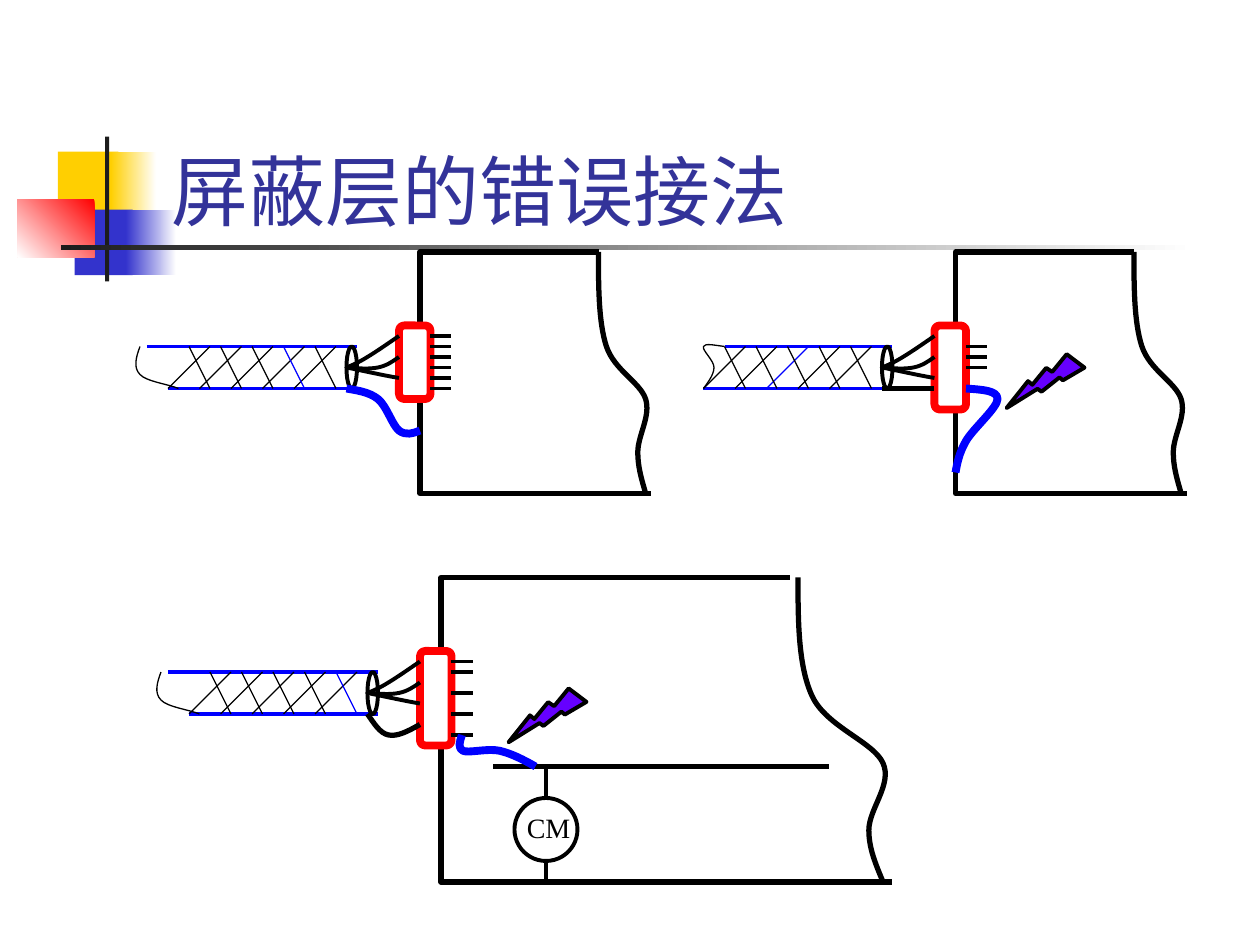
from dataclasses import dataclass

from lxml import etree
from pptx import Presentation, util as u
from pptx.dml.color import RGBColor
from pptx.enum import shapes, text
from pptx.oxml.ns import qn

Pt = u.Pt


@dataclass(frozen=True)
class Theme:
    black: str = "000000"
    white: str = "FFFFFF"
    shield: str = "0000FF"
    connector: str = "FF0000"
    bolt: str = "6600FF"
    title: str = "333399"
    yellow: str = "FFCF01"
    blue: str = "3333CC"
    red: str = "FF0000"
    rule: str = "1C1C1C"
    title_font: str = "Cabin"
    label_font: str = "Times New Roman"
    title_size: int = 44
    label_size: int = 16
    hair: float = 0.75
    wire: float = 2.25
    heavy: float = 3
    thick: float = 4.5


THEME = Theme()

# Wavy edge of a cut-away enclosure, as fractions of its width and height
BREAK_EDGE = [(0, 0), (0, .14), (0, .29), (.15, .39), (.3, .49), (.8, .54),
              (.9, .61), (1, .68), (.75, .76), (.75, .83), (.75, .89),
              (.82, .94), (.9, 1)]
# Loose cable end and inner wires, relative to the cable's cut end
CABLE_TAIL = [(-118, 0), (-120.2, 6), (-122, 12), (-118, 16),
              (-114.5, 20), (-101.5, 21.6), (-96, 24)]
INNER_WIRES = [
    [(0, 12), (3.6, 10.6), (7.2, 9), (12, 6), (17, 3), (23.5, -1.5), (30, -6)],
    [(0, 12), (6.5, 12.5), (13, 13), (18, 12), (23, 11), (26.5, 8.5), (30, 6)],
    [(0, 12), (11.5, 14.4), (23.5, 17), (30, 18)],
]


def shift(points, x, y):
    return [(x + px, y + py) for px, py in points]


class Diagram:
    def __init__(self, slide, theme):
        self.slide, self.theme = slide, theme

    def title(self, wording, x, y, width, height):
        shape = self.slide.shapes.title
        shape.left, shape.top, shape.width, shape.height = map(Pt, (x, y, width, height))
        # Bring the title in front of the decoration
        shape.element.getparent().append(shape.element)
        frame = shape.text_frame
        frame.text = wording
        frame.word_wrap = True
        frame.auto_size = text.MSO_AUTO_SIZE.NONE
        frame.vertical_anchor = text.MSO_ANCHOR.BOTTOM
        self.style(frame.paragraphs[0], self.theme.title_font,
                   self.theme.title_size, self.theme.title)

    def label(self, wording, x, y, width, height):
        frame = self.slide.shapes.add_textbox(*map(Pt, (x, y, width, height))).text_frame
        frame.text = wording
        frame.word_wrap = True
        self.style(frame.paragraphs[0], self.theme.label_font,
                   self.theme.label_size, self.theme.black)

    def style(self, paragraph, font, size, color):
        paragraph.alignment = text.PP_ALIGN.LEFT
        paragraph.font.name = font
        paragraph.font.size = Pt(size)
        paragraph.font.color.rgb = RGBColor.from_string(color)

    def outline(self, shape, color, width):
        shape.line.color.rgb = RGBColor.from_string(color)
        shape.line.width = Pt(width)

    def shape(self, kind, x, y, width, height, fill=None, line=None, weight=THEME.wire):
        shape = self.slide.shapes.add_shape(kind, *map(Pt, (x, y, width, height)))
        shape.shadow.inherit = False
        if fill:
            shape.fill.solid()
            shape.fill.fore_color.rgb = RGBColor.from_string(fill)
        else:
            shape.fill.background()
        if line:
            self.outline(shape, line, weight)
        else:
            shape.line.fill.background()
        return shape

    def fade(self, x, y, width, height, color, angle=0):
        shape = self.shape(shapes.MSO_SHAPE.RECTANGLE, x, y, width, height)
        shape.fill.gradient()
        shape.fill.gradient_angle = angle
        for stop, stop_color in zip(shape.fill.gradient_stops, (color, self.theme.white)):
            stop.color.rgb = RGBColor.from_string(stop_color)

    def line(self, x1, y1, x2, y2, color=THEME.black, weight=THEME.wire):
        line = self.slide.shapes.add_connector(
            shapes.MSO_CONNECTOR.STRAIGHT, *map(Pt, (x1, y1, x2, y2)))
        self.outline(line, color, weight)
        etree.SubElement(line.element.spPr, qn("a:effectLst"))

    def path_line(self, points, color=THEME.black, weight=THEME.wire):
        vertices = [(x * 100, y * 100) for x, y in points]
        builder = self.slide.shapes.build_freeform(*vertices[0], scale=Pt(1) / 100)
        builder.add_line_segments(vertices[1:], close=False)
        shape = builder.convert_to_shape()
        shape.shadow.inherit = False
        shape.fill.background()
        self.outline(shape, color, weight)
        return shape

    def curve(self, points, color=THEME.black, weight=THEME.wire):
        """Joined cubic curves: a start, then three points for each curve."""
        shape = self.path_line(points, color, weight)
        segments = list(shape.element.iter(qn("a:lnTo")))
        outline = segments[0].getparent()
        for k in range(0, len(segments), 3):
            cubic = etree.SubElement(outline, qn("a:cubicBezTo"))
            for segment in segments[k:k + 3]:
                cubic.append(segment[0])
                outline.remove(segment)

    def cable(self, x, y, top_start, bottom_start, blue_strand):
        """Shielded cable cut at x, with one strand of the braid in blue."""
        theme = self.theme
        self.line(x + top_start, y, x + 6, y, theme.shield)
        self.line(x + bottom_start, y + 24, x + 6, y + 24, theme.shield)
        self.shape(shapes.MSO_SHAPE.OVAL, x, y, 6, 24, line=theme.black)
        for first, run in ((-6, -24), (-18, 12)):
            for i in range(5):
                color = theme.shield if (run, i) == blue_strand else theme.black
                start = x + first - 18 * i
                self.line(start, y, start + run, y + 24, color, theme.hair)

    def enclosure(self, x, y, height, top_width, break_x, break_width):
        heavy = self.theme.heavy
        bottom, right = y + height, break_x + break_width
        self.path_line([(x + top_width, y), (x, y), (x, bottom), (right, bottom)],
                       weight=heavy)
        self.curve([(break_x + fx * break_width, y + fy * height)
                    for fx, fy in BREAK_EDGE], weight=heavy)

    def connector(self, x, y, height, pins):
        """Connector for the cable cut at x, y, with its wires and pins."""
        theme = self.theme
        self.shape(shapes.MSO_SHAPE.ROUNDED_RECTANGLE, x + 30, y - 12, 18, height,
                   theme.white, theme.connector, theme.thick)
        for wire in INNER_WIRES:
            self.curve(shift(wire, x, y))
        for pin in pins:
            self.line(x + 48, y + pin, x + 60, y + pin)

    def drain(self, points):
        self.curve(points, self.theme.shield, self.theme.thick)

    def bolt(self, x, y):
        shape = self.shape(shapes.MSO_SHAPE.LIGHTNING_BOLT, x, y, 24, 48,
                           self.theme.bolt, self.theme.black)
        shape.rotation = 79.5


def main():
    presentation = Presentation()
    presentation.slide_width, presentation.slide_height = Pt(720), Pt(540)
    slide = presentation.slides.add_slide(presentation.slide_layouts[5])
    diagram, theme = Diagram(slide, THEME), THEME

    # Corner decoration and title
    box = shapes.MSO_SHAPE.RECTANGLE
    diagram.shape(box, 33.1, 86.6, 34.6, 37.4, theme.yellow)
    diagram.fade(63.4, 86.6, 25.9, 37.4, theme.yellow)
    diagram.shape(box, 42.7, 119.8, 33.1, 37.4, theme.blue)
    diagram.fade(72, 119.8, 28.8, 37.4, theme.blue)
    diagram.fade(10, 113.8, 44, 33.1, theme.red, angle=225)
    diagram.shape(box, 60, 78, 2.4, 82.8, theme.rule)
    diagram.fade(34.8, 140.2, 648, 2.4, theme.rule)
    diagram.title("屏蔽层的错误接法", 90.7, 48.2, 613.4, 90)

    # Shield tied to the outside of the enclosure
    diagram.cable(198, 198, -114, -102, blue_strand=(12, 1))
    diagram.curve(shift(CABLE_TAIL, 198, 198), weight=theme.hair)
    diagram.enclosure(240, 144, 138, 102, 342, 30)
    diagram.connector(198, 198, 42, range(-6, 25, 6))
    diagram.drain([(198, 222), (204.5, 223.2), (211, 224), (216, 228), (221, 232),
                   (224, 242.6), (228, 246), (232, 249), (236, 247.7), (240, 246)])

    # Shield tied to the inside of the enclosure
    diagram.cable(504, 198, -90, -102, blue_strand=(-24, 2))
    diagram.curve([(402, 222), (404.6, 218.5), (408, 214), (408, 210),
                   (408, 206), (401, 200), (402, 198),
                   (403, 196), (408, 197.3), (414, 198)], weight=theme.hair)
    diagram.enclosure(546, 144, 138, 102, 648, 30)
    diagram.connector(504, 198, 48, range(0, 13, 6))
    diagram.line(504, 222, 534, 222, weight=theme.heavy)
    diagram.drain([(552, 222), (561, 222.7), (570, 223), (570, 228), (570, 233),
                   (556, 245), (552, 252), (548, 259), (547, 264.5), (546, 270)])
    diagram.bolt(584.6, 193)

    # Shield tied to the circuit ground
    diagram.cable(210, 384, -114, -102, blue_strand=(12, 0))
    diagram.curve(shift(CABLE_TAIL, 210, 384), weight=theme.hair)
    diagram.enclosure(252, 330, 174, 199.4, 456, 54)
    diagram.connector(210, 384, 54, (-6, 0, 12, 24, 36))
    diagram.curve([(210, 408), (213.6, 413), (217, 419), (222, 420),
                   (227, 421), (233, 418), (240, 414)], weight=theme.heavy)
    diagram.line(282, 438, 474, 438, weight=theme.heavy)
    diagram.drain([(264, 420), (262.6, 424), (261.6, 427.5), (264.5, 429),
                   (267.6, 430.5), (278.5, 427.5), (285.5, 429),
                   (292, 430.5), (299, 434), (306, 438)])
    diagram.bolt(300, 384)

    # Common-mode source
    diagram.shape(shapes.MSO_SHAPE.OVAL, 294, 456, 36, 36, line=theme.black)
    diagram.line(312, 438, 312, 456)
    diagram.line(312, 492, 312, 504)
    diagram.label("CM", 294, 459.4, 42, 26.6)

    presentation.save("out.pptx")


if __name__ == "__main__":
    main()
